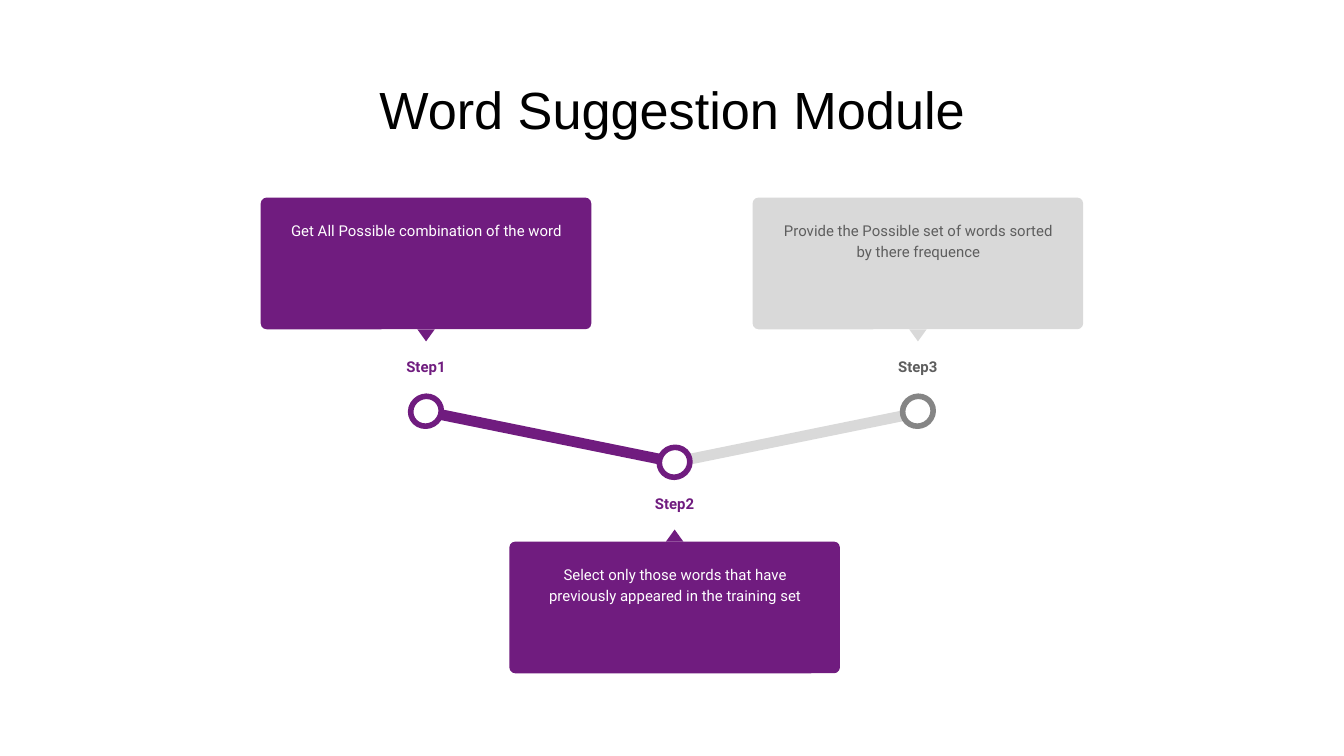
from pptx import Presentation
from pptx.dml.color import RGBColor
from pptx.enum.shapes import MSO_SHAPE
from pptx.enum.text import MSO_ANCHOR, MSO_AUTO_SIZE, PP_ALIGN
from pptx.util import Inches, Pt

COLORS = {
    "white": "FFFFFF",
    "black": "000000",
    "purple": "701C7F",
    "silver": "D9D9D9",
    "gray": "858585",
    "dark": "5E5E5E",
}
SLIDE_W = 10
SLIDE_H = SLIDE_W * 9 / 16
CARD_W, CARD_H = 2.46, 0.98
POINTER_W, POINTER_H = 0.13, 0.09
RING_W, RING_H = 0.23, 0.22
LABEL_W, LABEL_H = 1, 0.39


def color(name):
    return RGBColor.from_string(COLORS[name])


def add_text(slide, text, left, top, width, height, *, size=8, font="Roboto",
             ink="black", bold=False, anchor=MSO_ANCHOR.TOP,
             line_spacing=None, space_after=None):
    box = slide.shapes.add_textbox(
        Inches(left), Inches(top), Inches(width), Inches(height))
    frame = box.text_frame
    frame.word_wrap = True
    frame.auto_size = MSO_AUTO_SIZE.NONE
    frame.vertical_anchor = anchor
    frame.margin_left = frame.margin_right = Inches(0.1)
    frame.margin_top = frame.margin_bottom = Inches(0.1)
    paragraph = frame.paragraphs[0]
    paragraph.alignment = PP_ALIGN.CENTER
    paragraph.line_spacing = line_spacing
    paragraph.space_before = Pt(0)
    paragraph.space_after = space_after
    run = paragraph.add_run()
    run.text = text
    run.font.size = Pt(size)
    run.font.name = font
    run.font.bold = bold
    run.font.color.rgb = color(ink)


def add_figure(slide, kind, left, top, width, height, fill, *, outline=None,
               rotation=0, adjustment=None):
    figure = slide.shapes.add_shape(
        kind, Inches(left), Inches(top), Inches(width), Inches(height))
    figure.shadow.inherit = False
    figure.rotation = rotation
    figure.fill.solid()
    figure.fill.fore_color.rgb = color(fill)
    if outline:
        figure.line.color.rgb = color(outline)
        figure.line.width = Pt(3)
    else:
        figure.line.fill.background()
    if adjustment is not None:
        figure.adjustments[0] = adjustment


def add_title(slide, left, top, width, height):
    add_text(slide, "Word Suggestion Module", left, top, width, height,
             size=28, font="Arial", anchor=MSO_ANCHOR.MIDDLE)


def add_bar(slide, left, top, width, height, fill, rotation):
    add_figure(slide, MSO_SHAPE.ROUNDED_RECTANGLE, left, top, width, height,
               fill, rotation=rotation, adjustment=0.5)


def add_step(slide, left, top, label, description, *, card_first=True,
             fill="purple", ring="purple", label_ink="purple",
             description_ink="white"):
    """Stack card, pointer, label and ring, or the reverse, in a step column."""
    if card_first:
        card_y, pointer_y, label_y, ring_y = 0, CARD_H, 1.07, 1.48
    else:
        ring_y, label_y, pointer_y, card_y = 0, 0.23, 0.61, 0.7
    center = left + CARD_W / 2

    # Card with its pointer and description
    add_figure(slide, MSO_SHAPE.ROUNDED_RECTANGLE, left, top + card_y,
               CARD_W, CARD_H, fill, adjustment=0.045)
    add_figure(slide, MSO_SHAPE.ISOSCELES_TRIANGLE, center - POINTER_W / 2,
               top + pointer_y, POINTER_W, POINTER_H, fill,
               rotation=180 if card_first else 0)
    paragraph_format = {"line_spacing": 1.15, "space_after": Pt(16)}
    add_text(slide, description, left + 0.07, top + card_y + 0.06,
             CARD_W - 0.13, CARD_H - 0.11, ink=description_ink,
             **paragraph_format)

    # Ring on the path and step label
    add_figure(slide, MSO_SHAPE.OVAL, center - RING_W / 2, top + ring_y,
               RING_W, RING_H, "white", outline=ring, rotation=330.2)
    add_text(slide, label, center - LABEL_W / 2, top + label_y,
             LABEL_W, LABEL_H, ink=label_ink, bold=True, **paragraph_format)


def main():
    presentation = Presentation()
    presentation.slide_width = Inches(SLIDE_W)
    presentation.slide_height = Inches(SLIDE_H)
    slide = presentation.slides.add_slide(presentation.slide_layouts[6])

    add_title(slide, 0.34, 0.49, 9.32, 0.63)

    # Path between the rings, beneath the steps
    add_bar(slide, 4.98, 3.21, 1.94, 0.08, "silver", 348.5)
    add_bar(slide, 3.12, 3.21, 1.94, 0.08, "purple", 11.5)

    # Steps
    add_step(slide, 1.94, 1.47, "Step1",
             "Get All Possible combination of the word")
    add_step(slide, 3.79, 3.33, "Step2",
             "Select only those words that have previously appeared "
             "in the training set", card_first=False)
    add_step(slide, 5.6, 1.47, "Step3",
             "Provide the Possible set of words sorted by there frequence",
             fill="silver", ring="gray", label_ink="dark",
             description_ink="dark")

    presentation.save("out.pptx")


if __name__ == "__main__":
    main()
